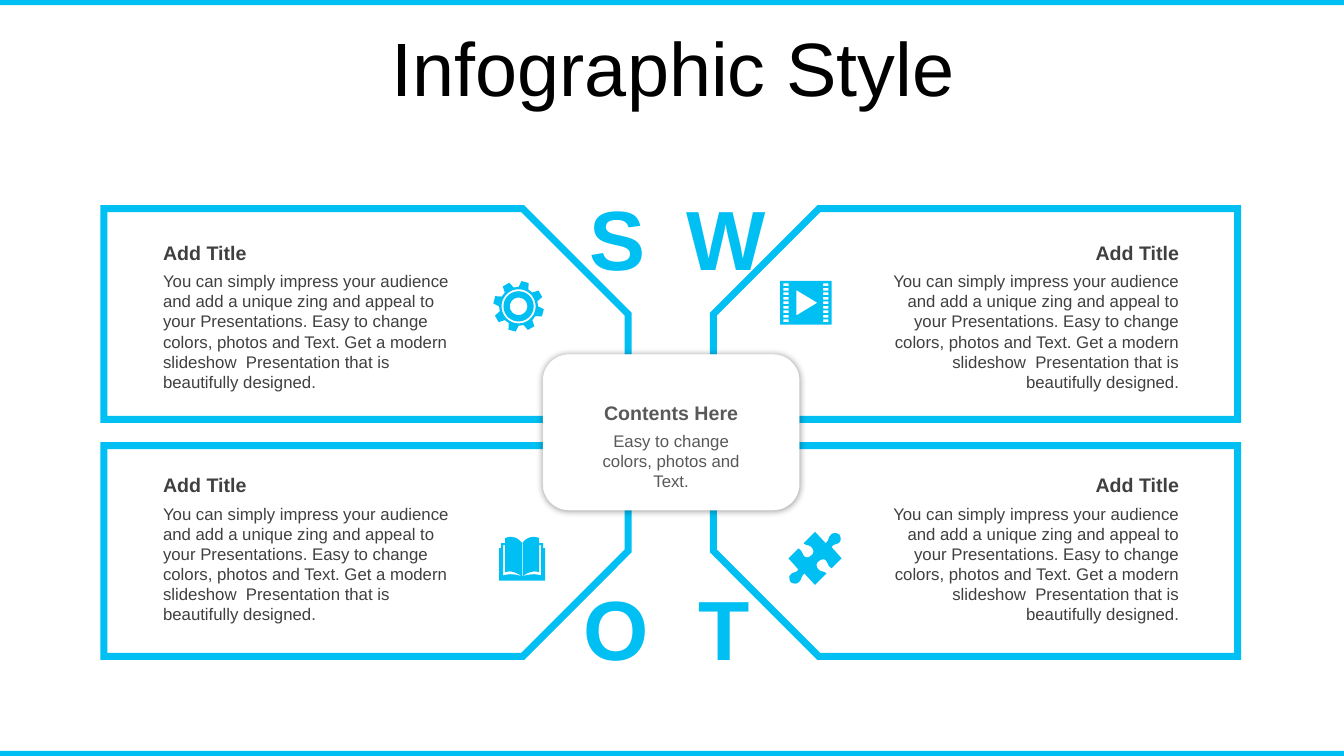
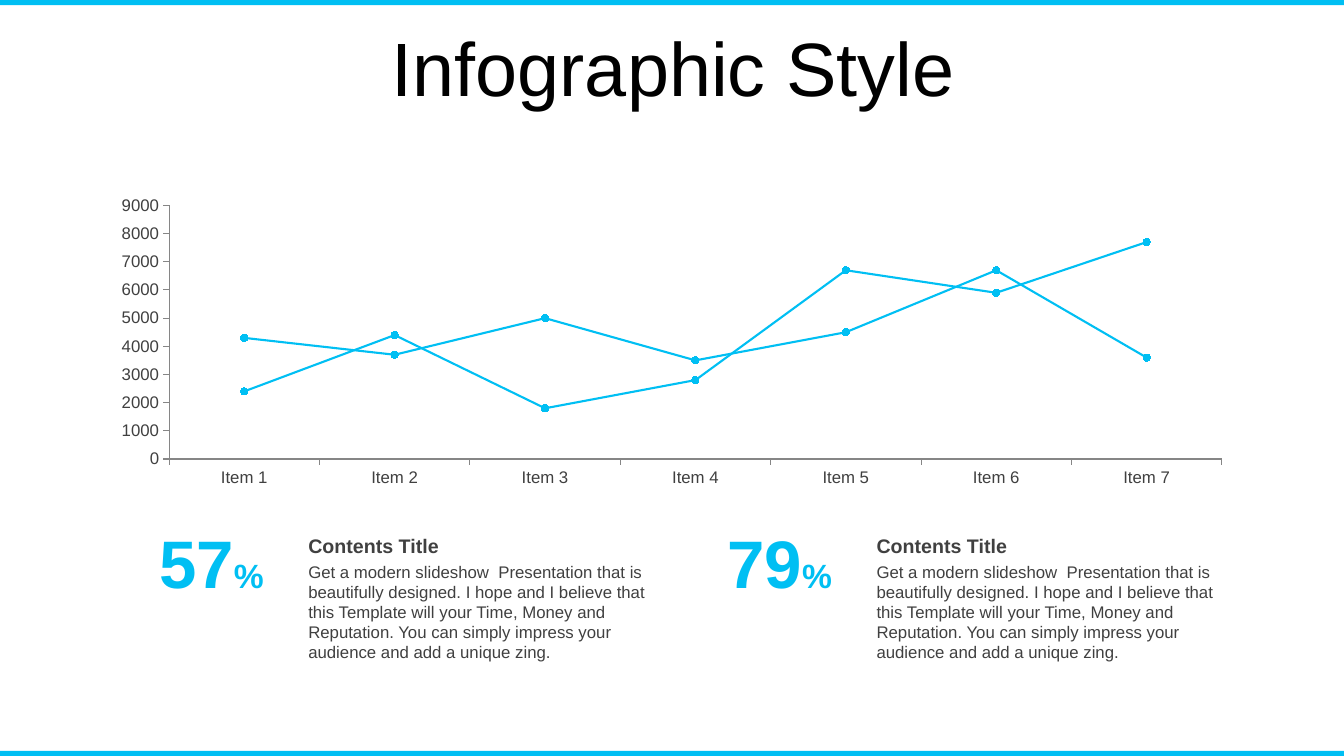
"""Build a SWOT infographic slide and a line chart slide in one shared style."""
import math
from dataclasses import dataclass

from lxml import etree
from pptx import Presentation
from pptx import util as u
from pptx.chart.data import CategoryChartData
from pptx.dml.color import RGBColor
from pptx.enum import chart as charts
from pptx.enum import shapes, text
from pptx.oxml.ns import qn

FONT = "Arial"
ACCENT, WHITE, BLACK = "00BFF3", "FFFFFF", "000000"
DARK, MEDIUM, AXIS = "404040", "595959", "868686"
PAGE_WIDTH, PAGE_HEIGHT, BAND_HEIGHT = 33.87, 19.05, 0.13
LEFT, CENTER, RIGHT = text.PP_ALIGN.LEFT, text.PP_ALIGN.CENTER, text.PP_ALIGN.RIGHT
TOP, MIDDLE = text.MSO_ANCHOR.TOP, text.MSO_ANCHOR.MIDDLE

TITLE = "Infographic Style"
PANEL_TEXT = (
    "You can simply impress your audience and add a unique zing and appeal to your "
    "Presentations. Easy to change colors, photos and Text. Get a modern slideshow  "
    "Presentation that is beautifully designed."
)
FIGURE_TEXT = (
    "Get a modern slideshow  Presentation that is beautifully designed. I hope and I "
    "believe that this Template will your Time, Money and Reputation. You can simply "
    "impress your audience and add a unique zing."
)

Point = tuple[float, float]
Outline = list[Point]


@dataclass(frozen=True)
class Frame:
    """Position and size in centimetres."""
    left: float
    top: float
    width: float
    height: float

    def lengths(self) -> list[u.Length]:
        """Return the four values as lengths."""
        return [u.Cm(v) for v in (self.left, self.top, self.width, self.height)]


@dataclass(frozen=True)
class Span:
    """A run of text with its own look."""
    text: str
    size: float
    color: str
    bold: bool = False


@dataclass(frozen=True)
class Icon:
    """Closed outlines around a centre point."""
    center: Point
    outlines: list[Outline]


@dataclass(frozen=True)
class Panel:
    """One quarter of the SWOT diagram."""
    letter: str
    letter_at: Point
    frame_at: Point
    text_at: Point
    align: text.PP_ALIGN
    flips: tuple[str, ...]
    icon: Icon


@dataclass(frozen=True)
class Figure:
    """A percentage with its explanation."""
    number: str
    left: float


def rgb(value: str) -> RGBColor:
    """Turn a hex string into a colour."""
    return RGBColor.from_string(value)


def paint(shape, fill: str, line: str | None = None, width: float = 0) -> None:
    """Set fill and outline and drop the inherited shadow."""
    shape.shadow.inherit = False
    shape.fill.solid()
    shape.fill.fore_color.rgb = rgb(fill)
    if line is None:
        shape.line.fill.background()
        return
    shape.line.color.rgb = rgb(line)
    shape.line.width = u.Pt(width)
    etree.SubElement(shape.line._get_or_add_ln(), qn("a:miter"), lim="800000")


def write(box, spans: list[Span], align: text.PP_ALIGN, anchor: text.MSO_ANCHOR):
    """Fill the first paragraph of a box with spans and return it."""
    frame = box.text_frame
    frame.word_wrap = True
    frame.auto_size = text.MSO_AUTO_SIZE.NONE
    frame.vertical_anchor = anchor
    para = frame.paragraphs[0]
    para.alignment = align
    for span in spans:
        run = para.add_run()
        run.text = span.text
        run.font.name = FONT
        run.font.size = u.Pt(span.size)
        run.font.bold = span.bold
        run.font.color.rgb = rgb(span.color)
    return para


def add_text(page, frame: Frame, spans: list[Span], align: text.PP_ALIGN = LEFT,
             anchor: text.MSO_ANCHOR = TOP) -> None:
    """Add a text box."""
    write(page.shapes.add_textbox(*frame.lengths()), spans, align, anchor)


def add_bands(deck, page) -> None:
    """Place the top and bottom bands on the slide master."""
    for index, top in enumerate((0, PAGE_HEIGHT - BAND_HEIGHT)):
        frame = Frame(0, top, PAGE_WIDTH, BAND_HEIGHT)
        band = page.shapes.add_shape(shapes.MSO_SHAPE.RECTANGLE, *frame.lengths())
        paint(band, ACCENT)
        band.element.xpath(".//p:cNvPr")[0].set("id", str(100 + index))
        deck.slide_master.shapes.element.insert(2 + index, band.element)


def add_page(deck):
    """Add a title-only slide with the shared title."""
    page = deck.slides.add_slide(deck.slide_layouts[5])
    title = page.shapes.title
    frame = Frame(0.89, 0.81, 32.16, 2.01)
    title.left, title.top, title.width, title.height = frame.lengths()
    para = write(title, [Span(TITLE, 54, BLACK)], CENTER, MIDDLE)
    para.line_spacing = 0.9
    return page


def trace(start: Point, steps: list[tuple[Point, ...]]) -> Outline:
    """Follow straight steps (one point) and cubic curves (three points)."""
    points = [start]
    for step in steps:
        if len(step) == 1:
            points.append(step[0])
            continue
        nodes = (points[-1], *step)
        for t in (k / 6 for k in range(1, 7)):
            weights = [math.comb(3, k) * t**k * (1 - t) ** (3 - k) for k in range(4)]
            points.append((sum(w * x for w, (x, _) in zip(weights, nodes)),
                           sum(w * y for w, (_, y) in zip(weights, nodes))))
    return points


def polar(radius: float, degrees: float) -> Point:
    """Return the point at a radius and an angle."""
    angle = math.radians(degrees)
    return radius * math.cos(angle), radius * math.sin(angle)


def rectangle(x: float, y: float, half_width: float, half_height: float) -> Outline:
    """Return a rectangle around a point."""
    return [(x + a * half_width, y + b * half_height)
            for a, b in ((-1, -1), (1, -1), (1, 1), (-1, 1))]


def mirror(outline: Outline) -> Outline:
    """Reflect an outline left to right, in reverse order."""
    return [(-x, y) for x, y in reversed(outline)]


def gear() -> list[Outline]:
    """Return a gear with eight teeth and two rings."""
    corners = ((0.49, -15), (0.64, -8.5), (0.64, 8.5), (0.49, 15))
    teeth = [polar(r, 45 * k - 75 + a) for k in range(8) for r, a in corners]
    rings = [[polar(r, a) for a in range(0, 360, 10)] for r in (0.43, 0.38, 0.22)]
    return [teeth, *rings]


def film() -> list[Outline]:
    """Return a film frame with perforations and a play mark."""
    holes = [rectangle(x, 0.114 * row, 0.065, 0.035)
             for x in (-0.5, 0.5) for row in range(-4, 5)]
    play = [(-0.24, -0.32), (0.29, 0), (-0.24, 0.32)]
    return [rectangle(0, 0, 0.65, 0.55), play, *holes]


def book() -> list[Outline]:
    """Return an open book."""
    cover = trace((0, -0.39), [
        ((0.08, -0.5), (0.18, -0.55), (0.28, -0.55)),
        ((0.33, -0.55), (0.38, -0.54), (0.43, -0.52)),
        ((0.43, -0.39),), ((0.53, -0.39),), ((0.53, -0.27),),
        ((0.58, -0.27),), ((0.58, 0.55),)])
    slit = trace((0.43, -0.34), [
        ((0.48, -0.34),), ((0.48, 0.42),),
        ((0.28, 0.37), (0.2, 0.39), (0.01, 0.44)),
        ((0.15, 0.34), (0.3, 0.29), (0.43, 0.34))])
    spine = rectangle(0, 0.02, 0.01, 0.41)
    return [cover + mirror(cover), slit, mirror(slit), spine]


def puzzle() -> list[Outline]:
    """Return a puzzle piece with half-turn symmetry."""
    half = trace((0.6, -0.61), [
        ((0.65, -0.56), (0.67, -0.46), (0.62, -0.41)),
        ((0.55, -0.33), (0.47, -0.38), (0.42, -0.28)),
        ((0.67, 0),), ((0.42, 0.25),),
        ((0.32, 0.2), (0.34, 0.13), (0.27, 0.05)),
        ((0.22, 0), (0.14, 0.03), (0.09, 0.08)),
        ((0.04, 0.1), (0.01, 0.2), (0.09, 0.28)),
        ((0.17, 0.36), (0.19, 0.3), (0.29, 0.38)),
        ((0, 0.67),), ((-0.27, 0.38),),
        ((-0.37, 0.48), (-0.32, 0.51), (-0.39, 0.58)),
        ((-0.44, 0.66), (-0.55, 0.64), (-0.6, 0.61))])
    return [half + [(-x, -y) for x, y in half]]


def add_icon(page, icon: Icon) -> None:
    """Draw the outlines of an icon as one freeform."""
    first, *others = [[(u.Cm(x), u.Cm(y)) for x, y in outline] for outline in icon.outlines]
    builder = page.shapes.build_freeform(*first[0])
    builder.add_line_segments(first[1:], close=True)
    for outline in others:
        builder.move_to(*outline[0])
        builder.add_line_segments(outline[1:], close=True)
    paint(builder.convert_to_shape(*(u.Cm(v) for v in icon.center)), ACCENT)


def add_panel_frame(page, panel: Panel) -> None:
    """Draw the outlined panel with its cut corner towards the middle."""
    frame = Frame(*panel.frame_at, 13.21, 5.31)
    shape = page.shapes.add_shape(shapes.MSO_SHAPE.SNIP_1_RECTANGLE, *frame.lengths())
    shape.adjustments[0] = 0.5
    paint(shape, WHITE, ACCENT, 5)
    for flip in panel.flips:
        shape.element.spPr.find(qn("a:xfrm")).set(flip, "1")


def add_panel_content(page, panel: Panel) -> None:
    """Add the letter, texts and icon of a panel."""
    left, top = panel.text_at
    add_text(page, Frame(*panel.letter_at, 2.74, 2.82),
             [Span(panel.letter, 60, ACCENT, True)], CENTER, MIDDLE)
    add_text(page, Frame(left, top + 0.76, 8.15, 3.33), [Span(PANEL_TEXT, 12, DARK)], panel.align)
    add_text(page, Frame(left, top, 8.15, 0.86), [Span("Add Title", 14, DARK, True)], panel.align)
    add_icon(page, panel.icon)


def add_hub(page) -> None:
    """Add the shadowed box in the middle."""
    frame = Frame(13.69, 8.94, 6.45, 3.91)
    hub = page.shapes.add_shape(shapes.MSO_SHAPE.ROUNDED_RECTANGLE, *frame.lengths())
    paint(hub, WHITE, WHITE, 0.5)
    effects = hub.element.spPr.find(qn("a:effectLst"))
    shadow = etree.SubElement(effects, qn("a:outerShdw"), blurRad=str(u.Pt(5)), dist="0")
    color = etree.SubElement(shadow, qn("a:srgbClr"), val=BLACK)
    etree.SubElement(color, qn("a:alpha"), val="40000")
    add_text(page, Frame(14.58, 10.72, 4.67, 1.09),
             [Span("Easy to change colors, photos and Text.", 12, MEDIUM)], CENTER)
    add_text(page, Frame(14.58, 9.98, 4.67, 0.71), [Span("Contents Here", 14, MEDIUM, True)], CENTER)


def add_line_chart(page) -> None:
    """Add the line chart with two series."""
    data = CategoryChartData()
    data.categories = [f"Item {k}" for k in range(1, 8)]
    data.add_series("Series 1", (4300, 3700, 5000, 3500, 4500, 6700, 3600))
    data.add_series("Series 2", (2400, 4400, 1800, 2800, 6700, 5900, 7700))
    frame = Frame(2.49, 4.8, 28.88, 7.62)
    chart = page.shapes.add_chart(charts.XL_CHART_TYPE.LINE_MARKERS, *frame.lengths(), data).chart
    chart.has_legend = chart.has_title = False
    chart.font.name, chart.font.size = FONT, u.Pt(12)
    chart.font.color.rgb = rgb(DARK)
    chart.plots[0].vary_by_categories = False
    for axis in (chart.category_axis, chart.value_axis):
        axis.has_major_gridlines = False
        axis.major_tick_mark = charts.XL_TICK_MARK.OUTSIDE
        axis.format.line.color.rgb = rgb(AXIS)
        axis.format.line.width = u.Pt(0.75)
    scale = chart.value_axis
    scale.minimum_scale, scale.maximum_scale, scale.major_unit = 0, 9000, 1000
    for series in chart.plots[0].series:
        series.smooth = False
        series.format.line.color.rgb = rgb(ACCENT)
        series.format.line.width = u.Pt(1.5)
        series.marker.style, series.marker.size = charts.XL_MARKER_STYLE.CIRCLE, 5
        series.marker.format.fill.solid()
        series.marker.format.fill.fore_color.rgb = rgb(ACCENT)
        series.marker.format.line.color.rgb = rgb(ACCENT)


def add_figure(page, figure: Figure) -> None:
    """Add a percentage and the text beside it."""
    left = figure.left + 3.76
    add_text(page, Frame(left, 14.02, 9.27, 2.82), [Span(FIGURE_TEXT, 12, DARK)])
    add_text(page, Frame(left, 13.34, 9.27, 0.86), [Span("Contents Title", 14, DARK, True)])
    add_text(page, Frame(figure.left, 13, 3.23, 2.31),
             [Span(figure.number, 48, ACCENT, True), Span("%", 24, ACCENT, True)], anchor=MIDDLE)


def main() -> None:
    """Build and save the deck."""
    deck = Presentation()
    deck.slide_width, deck.slide_height = u.Cm(PAGE_WIDTH), u.Cm(PAGE_HEIGHT)
    panels = [
        Panel("S", (14.2, 4.55), (2.62, 5.26), (3.86, 5.94), LEFT, (),
              Icon((13.07, 7.72), gear())),
        Panel("W", (16.92, 4.57), (17.98, 5.26), (21.82, 5.94), RIGHT, ("flipH",),
              Icon((20.31, 7.63), film())),
        Panel("O", (14.17, 14.4), (2.62, 11.23), (3.86, 11.8), LEFT, ("flipV",),
              Icon((13.16, 14.08), book())),
        Panel("T", (16.89, 14.4), (17.98, 11.23), (21.82, 11.8), RIGHT, ("flipH", "flipV"),
              Icon((20.54, 14.07), puzzle())),
    ]
    swot = add_page(deck)
    add_bands(deck, swot)
    for panel in panels:
        add_panel_frame(swot, panel)
    add_hub(swot)
    for panel in panels:
        add_panel_content(swot, panel)
    trend = add_page(deck)
    add_line_chart(trend)
    for figure in (Figure("57", 3.76), Figure("79", 18.08)):
        add_figure(trend, figure)
    deck.save("out.pptx")


if __name__ == "__main__":
    main()
